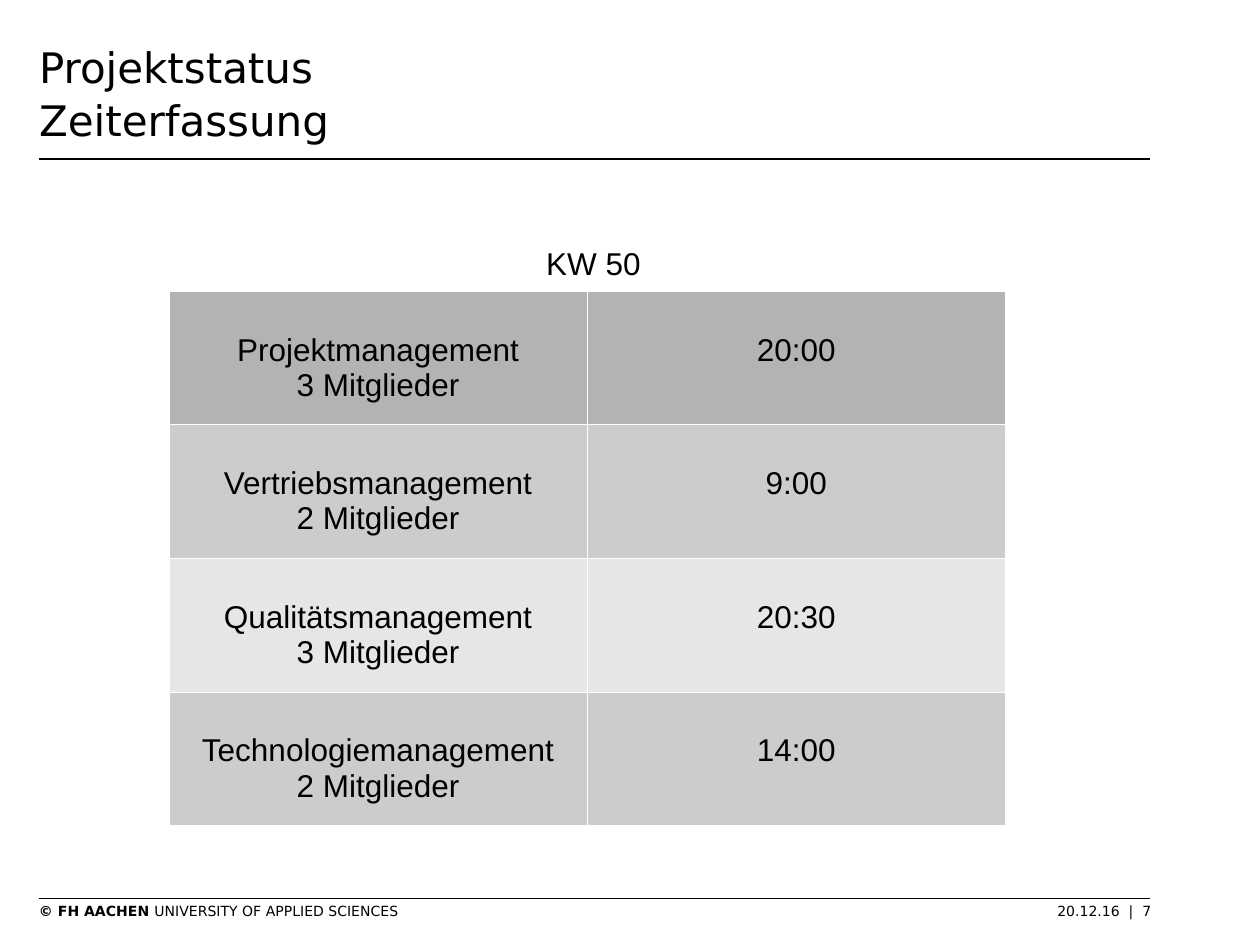
import pptx
import pptx.dml.color
import pptx.enum.shapes
import pptx.enum.text
import pptx.oxml
import pptx.oxml.ns
import pptx.util

HEADING = "Projektstatus\vZeiterfassung"
WEEK = "KW 50"
TEAMS = [
    ("Projektmanagement\n3 Mitglieder", "20:00", "B3B3B3"),
    ("Vertriebsmanagement\n2 Mitglieder", "9:00", "CCCCCC"),
    ("Qualitätsmanagement\n3 Mitglieder", "20:30", "E6E6E6"),
    ("Technologiemanagement\n2 Mitglieder", "14:00", "CCCCCC"),
]
OWNER = "© FH AACHEN "
FOOTER = "UNIVERSITY OF APPLIED SCIENCES\t20.12.16  |  7"

SLIDE_W, SLIDE_H = 10, 7.5
LEFT, RIGHT = 0.31, 9.13
RULES = (1.26, 7.13)
TABLE_LEFT, TABLE_TOP = 1.34, 2.31
COL_W, ROW_H = 3.32, 1.06
BODY_FONT, MASTER_FONT = "Arial", "DejaVu Sans"
CENTER = pptx.enum.text.PP_ALIGN.CENTER
NS = pptx.oxml.ns.nsdecls("a")
inch = pptx.util.Inches


def color(value):
    return pptx.dml.color.RGBColor.from_string(value)


def style(frame, font, size, align=None):
    for paragraph in frame.paragraphs:
        paragraph.alignment = align
        for run in paragraph.runs:
            run.font.name = font
            run.font.size = pptx.util.Pt(size)
            run.font.color.rgb = color("000000")


def clear_margins(frame):
    frame.margin_left = frame.margin_right = 0
    frame.margin_top = frame.margin_bottom = 0


def add_box(slide, left, top, width, height):
    box = slide.shapes.add_textbox(inch(left), inch(top), inch(width), inch(height))
    box.text_frame.word_wrap = True
    return box.text_frame


def add_rule(slide, y):
    rule = slide.shapes.add_connector(
        pptx.enum.shapes.MSO_CONNECTOR.STRAIGHT, inch(LEFT), inch(y), inch(RIGHT), inch(y))
    rule.line.color.rgb = color("000000")
    rule.line.width = pptx.util.Pt(1)
    rule._element.spPr.append(pptx.oxml.parse_xml(f"<a:effectLst {NS}/>"))


def add_heading(slide):
    heading = slide.shapes.title
    heading.left, heading.top = inch(LEFT), inch(0.31)
    heading.width, heading.height = inch(RIGHT - LEFT), inch(0.79)
    frame = heading.text_frame
    frame.text = HEADING
    frame.auto_size = pptx.enum.text.MSO_AUTO_SIZE.NONE
    frame.vertical_anchor = pptx.enum.text.MSO_ANCHOR.TOP
    clear_margins(frame)
    frame.paragraphs[0].line_spacing = 1.05
    style(frame, MASTER_FONT, 24, pptx.enum.text.PP_ALIGN.LEFT)


def add_footer(slide):
    frame = add_box(slide, LEFT, 7.16, 9.06, 0.15)
    clear_margins(frame)
    line = frame.paragraphs[0]
    line._p.get_or_add_pPr().append(pptx.oxml.parse_xml(
        f'<a:tabLst {NS}><a:tab pos="{inch(8.83)}" algn="r"/></a:tabLst>'))
    for text, bold in ((OWNER, True), (FOOTER, False)):
        run = line.add_run()
        run.text = text
        run.font.bold = bold
    style(frame, MASTER_FONT, 8)


def add_borders(cell):
    properties = cell._tc.get_or_add_tcPr()
    for position, side in enumerate("LRTB"):
        properties.insert(position, pptx.oxml.parse_xml(
            f'<a:ln{side} {NS} w="762"><a:solidFill><a:srgbClr val="FFFFFF"/>'
            f"</a:solidFill></a:ln{side}>"))


def add_hours(slide):
    hours = slide.shapes.add_table(
        len(TEAMS), 2, inch(TABLE_LEFT), inch(TABLE_TOP),
        inch(2 * COL_W), inch(len(TEAMS) * ROW_H)).table
    for column in hours.columns:
        column.width = inch(COL_W)
    for row, (team, time, shade) in enumerate(TEAMS):
        hours.rows[row].height = inch(ROW_H)
        for column, text in enumerate((team, time)):
            cell = hours.cell(row, column)
            cell.text_frame.text = text
            cell.margin_top = inch(0.33)
            cell.fill.solid()
            cell.fill.fore_color.rgb = color(shade)
            add_borders(cell)
            style(cell.text_frame, BODY_FONT, 18, CENTER)
            for paragraph in cell.text_frame.paragraphs:
                for run in paragraph.runs:
                    run.font.bold = False


def main():
    deck = pptx.Presentation()
    deck.slide_width, deck.slide_height = inch(SLIDE_W), inch(SLIDE_H)
    slide = deck.slides.add_slide(deck.slide_layouts[5])
    for y in RULES:
        add_rule(slide, y)
    add_footer(slide)
    add_heading(slide)
    add_hours(slide)
    week = add_box(slide, 1.44, 1.89, 6.54, 0.38)
    week.text = WEEK
    style(week, BODY_FONT, 18, CENTER)
    deck.save("out.pptx")


if __name__ == "__main__":
    main()
